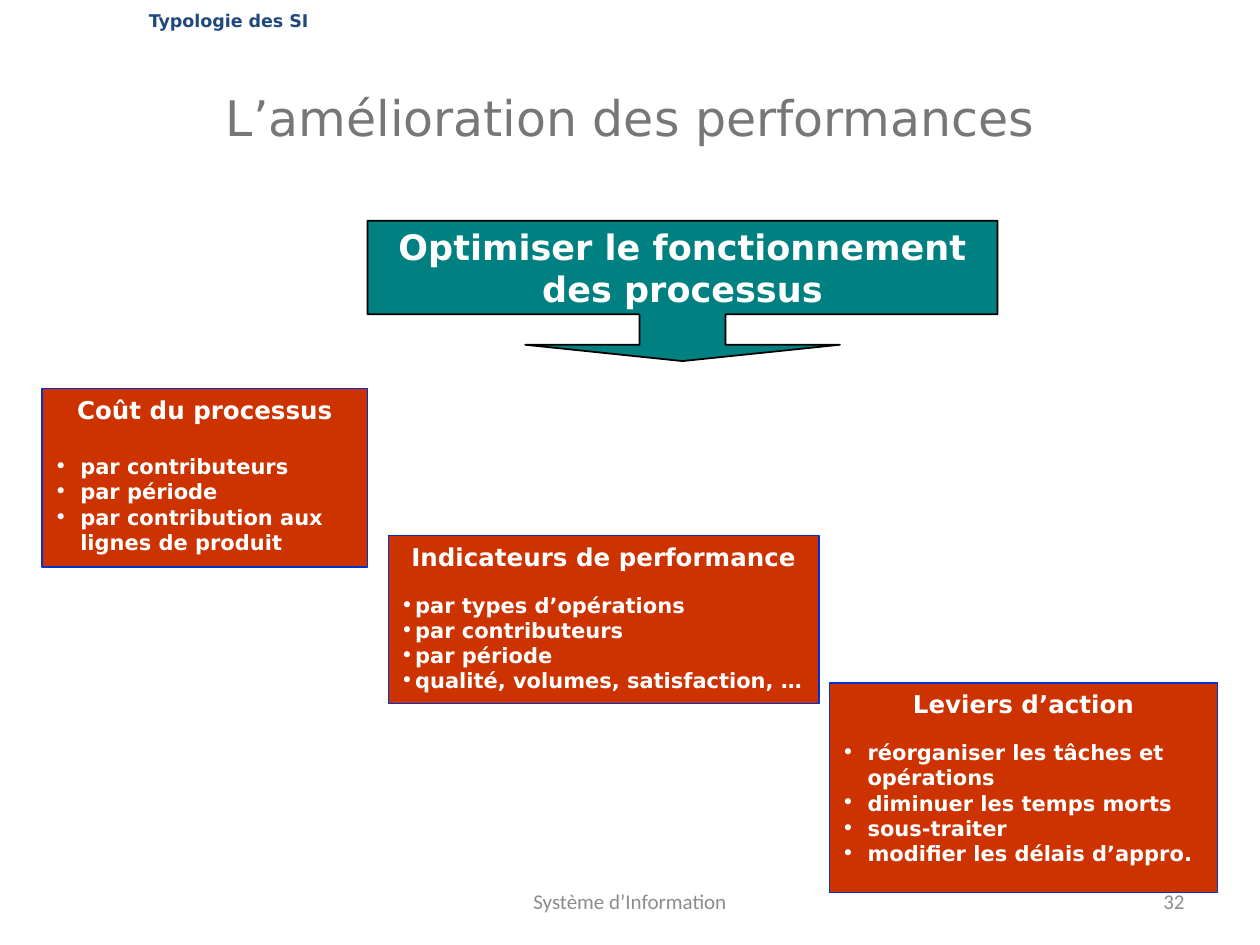
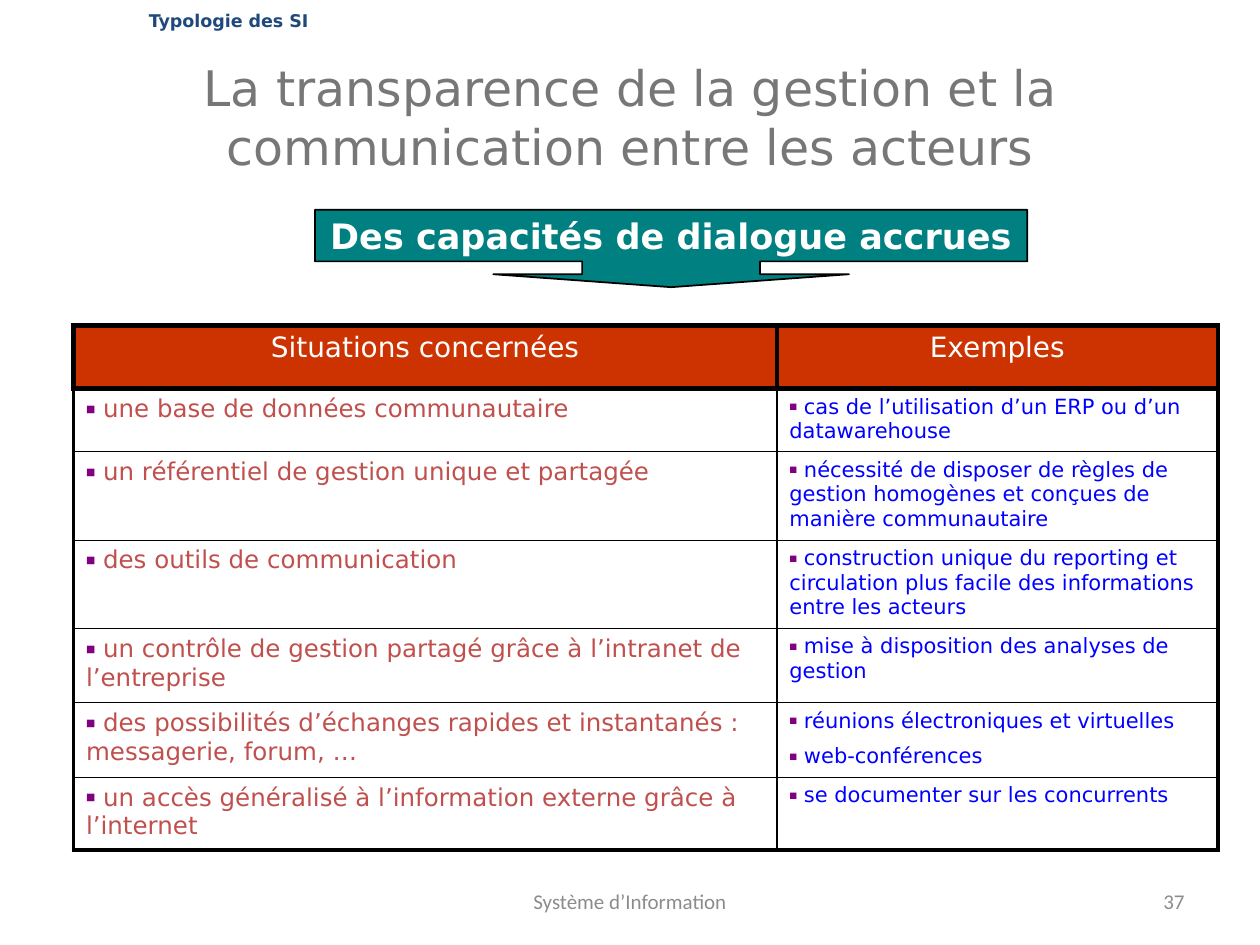
import pptx
import pptx.dml.color
import pptx.enum.shapes
import pptx.enum.text
import pptx.oxml
import pptx.oxml.ns
import pptx.util
from pptx.util import Cm

Pt = pptx.util.Pt
ALIGN = pptx.enum.text.PP_ALIGN
ANCHOR = pptx.enum.text.MSO_ANCHOR
SHAPE = pptx.enum.shapes.MSO_SHAPE
NS = pptx.oxml.ns.nsdecls("a")

FONT = "DejaVu Sans"
WHITE, BLACK = "FFFFFF", "000000"
GREY, PALE, NAVY = "777777", "8C8C8C", "1F497D"
TEAL, RUST, BLUE = "008080", "CC3300", "0033CC"
ROSE, LINK, PLUM = "C0504D", "0000FF", "800080"


def hue(code):
    """Turn a hex string into a colour."""
    return pptx.dml.color.RGBColor.from_string(code)


def style(par, size, color, bold=False, align=ALIGN.LEFT, font=FONT,
          mark=None, tint=None, hang=0):
    """Format a paragraph and its runs; mark is the bullet sign."""
    par.alignment = align
    for run in par.runs:
        run.font.name = font
        run.font.size = Pt(size)
        run.font.bold = bold
        run.font.color.rgb = hue(color)
    if mark:
        props = par._p.get_or_add_pPr()
        props.set("marL", str(Cm(hang)))
        props.set("indent", str(-Cm(hang)))
        parts = []
        if tint:
            parts.append(f'<a:buClr {NS}><a:srgbClr val="{tint}"/></a:buClr>')
            parts.append(f'<a:buSzPct {NS} val="40000"/>')
        parts.append(f'<a:buFont {NS} typeface="{font}"/>')
        parts.append(f'<a:buChar {NS} char="{mark}"/>')
        for part in parts:
            props.append(pptx.oxml.parse_xml(part))


deck = pptx.Presentation()
deck.slide_width, deck.slide_height = Cm(25.4), Cm(19.05)

# Title, page number, then the callout: text, place and adjustments
pages = [
    ("L’amélioration des performances", "32",
     "Optimiser le fonctionnement des processus",
     (7.41, 4.45, 12.7, 2.83), (0.614, 1.121, 0.116, 0.667)),
    ("La transparence de la gestion et la communication entre les acteurs", "37",
     "Des capacités de dialogue accrues",
     (6.35, 4.23, 14.36, 1.56), (2.299, 2.299, 0.167, 0.667)),
]

slides = []
for head, number, claim, place, bends in pages:
    slide = deck.slides.add_slide(deck.slide_layouts[5])
    slides.append(slide)

    title = slide.shapes.title
    title.left, title.top, title.width, title.height = map(Cm, (1.27, 0.76, 22.86, 3.18))
    title.text_frame.text = head
    title.text_frame.vertical_anchor = ANCHOR.MIDDLE
    style(title.text_frame.paragraphs[0], 28, GREY, align=ALIGN.CENTER)

    for text, left, width, align in [
        ("Système d’Information", 8.68, 8.04, ALIGN.CENTER),
        (number, 18.21, 5.92, ALIGN.RIGHT),
    ]:
        foot = slide.shapes.add_textbox(Cm(left), Cm(17.66), Cm(width), Cm(1.01))
        foot.text_frame.word_wrap = True
        foot.text_frame.vertical_anchor = ANCHOR.MIDDLE
        foot.text_frame.text = text
        style(foot.text_frame.paragraphs[0], 12, PALE, align=align, font="Calibri")

    topic = slide.shapes.add_textbox(Cm(2.75), Cm(0.08), Cm(3.8), Cm(0.68))
    topic.text_frame.word_wrap = False
    topic.text_frame.text = "Typologie des SI"
    style(topic.text_frame.paragraphs[0], 10, NAVY, True)

    call = slide.shapes.add_shape(SHAPE.DOWN_ARROW_CALLOUT, *map(Cm, place))
    for i, bend in enumerate(bends):
        call.adjustments[i] = bend
    call.shadow.inherit = False
    call.fill.solid()
    call.fill.fore_color.rgb = hue(TEAL)
    call.line.color.rgb = hue(BLACK)
    call.line.width = Pt(1)
    call.text_frame.word_wrap = True
    call.text_frame.vertical_anchor = ANCHOR.MIDDLE
    call.text_frame.text = claim
    style(call.text_frame.paragraphs[0], 20, WHITE, True, ALIGN.CENTER)

# Three boxes going down like stairs:
# left, width, height, gap under the heading, bullet indent, heading, items
boxes = [
    (0.85, 6.56, 3.6, 17, 0.52, "Coût du processus",
     ["par contributeurs", "par période", "par contribution aux lignes de produit"]),
    (7.83, 8.68, 3.39, 12, 0.29, "Indicateurs de performance",
     ["par types d’opérations", "par contributeurs", "par période",
      "qualité, volumes, satisfaction, …"]),
    (16.72, 7.83, 4.23, 12, 0.52, "Leviers d’action",
     ["réorganiser les tâches et opérations", "diminuer les temps morts",
      "sous-traiter", "modifier les délais d’appro."]),
]
for step, (left, width, height, gap, hang, head, items) in enumerate(boxes):
    box = slides[0].shapes.add_shape(
        SHAPE.RECTANGLE, Cm(left), Cm(7.83 + 2.97 * step), Cm(width), Cm(height))
    box.shadow.inherit = False
    box.fill.solid()
    box.fill.fore_color.rgb = hue(RUST)
    box.line.color.rgb = hue(BLUE)
    box.line.width = Pt(0.75)
    frame = box.text_frame
    frame.word_wrap = True
    frame.vertical_anchor = ANCHOR.TOP
    frame.text = "\n".join([head] + items)
    first, *rest = frame.paragraphs
    first.space_after = Pt(gap)
    style(first, 14, WHITE, True, ALIGN.CENTER)
    for par in rest:
        style(par, 12, WHITE, True, mark="•", hang=hang)

# Table of situations: row height, situation, examples
rows = [
    (1.27, "Situations concernées", "Exemples"),
    (1.27, " une base de données communautaire",
     " cas de l’utilisation d’un ERP ou d’un datawarehouse"),
    (1.78, " un référentiel de gestion unique et partagée",
     " nécessité de disposer de règles de gestion homogènes et conçues "
     "de manière communautaire"),
    (1.78, " des outils de communication",
     " construction unique du reporting et circulation plus facile "
     "des informations entre les acteurs"),
    (1.5, " un contrôle de gestion partagé grâce à l’intranet de l’entreprise",
     " mise à disposition des analyses de gestion"),
    (1.5, " des possibilités d’échanges rapides et instantanés : messagerie, forum, …",
     " réunions électroniques et virtuelles\n web-conférences"),
    (1.47, " un accès généralisé à l’information externe grâce à l’internet",
     " se documenter sur les concurrents"),
]
total = sum(row[0] for row in rows)
table = slides[1].shapes.add_table(
    len(rows), 2, Cm(1.48), Cm(6.56), Cm(23.07), Cm(total)).table
table.first_row = table.horz_banding = False
table.columns[0].width, table.columns[1].width = Cm(14.18), Cm(8.89)
last = len(rows) - 1

for r, (height, *texts) in enumerate(rows):
    table.rows[r].height = Cm(height)
    for c, text in enumerate(texts):
        cell = table.cell(r, c)
        cell.text_frame.text = text
        if r == 0:
            cell.fill.solid()
            cell.fill.fore_color.rgb = hue(RUST)
            style(cell.text_frame.paragraphs[0], 16, WHITE, align=ALIGN.CENTER)
            edges = dict(L=3, R=3, T=3, B=3)
        else:
            cell.fill.background()
            size, color = [(14, ROSE), (12, LINK)][c]
            for i, par in enumerate(cell.text_frame.paragraphs):
                if i:
                    par.space_before = Pt(6)
                style(par, size, color, mark="■", tint=PLUM)
            edges = dict(L=1 if c else 2.25, R=2.25 if c else 1,
                         T=3 if r == 1 else 0.25, B=2.25 if r == last else 0.25)
        props = cell._tc.get_or_add_tcPr()
        for i, (side, width) in enumerate(edges.items()):
            props.insert(i, pptx.oxml.parse_xml(
                f'<a:ln{side} {NS} w="{Pt(width)}"><a:solidFill>'
                f'<a:srgbClr val="{BLACK}"/></a:solidFill></a:ln{side}>'))

deck.save("out.pptx")
